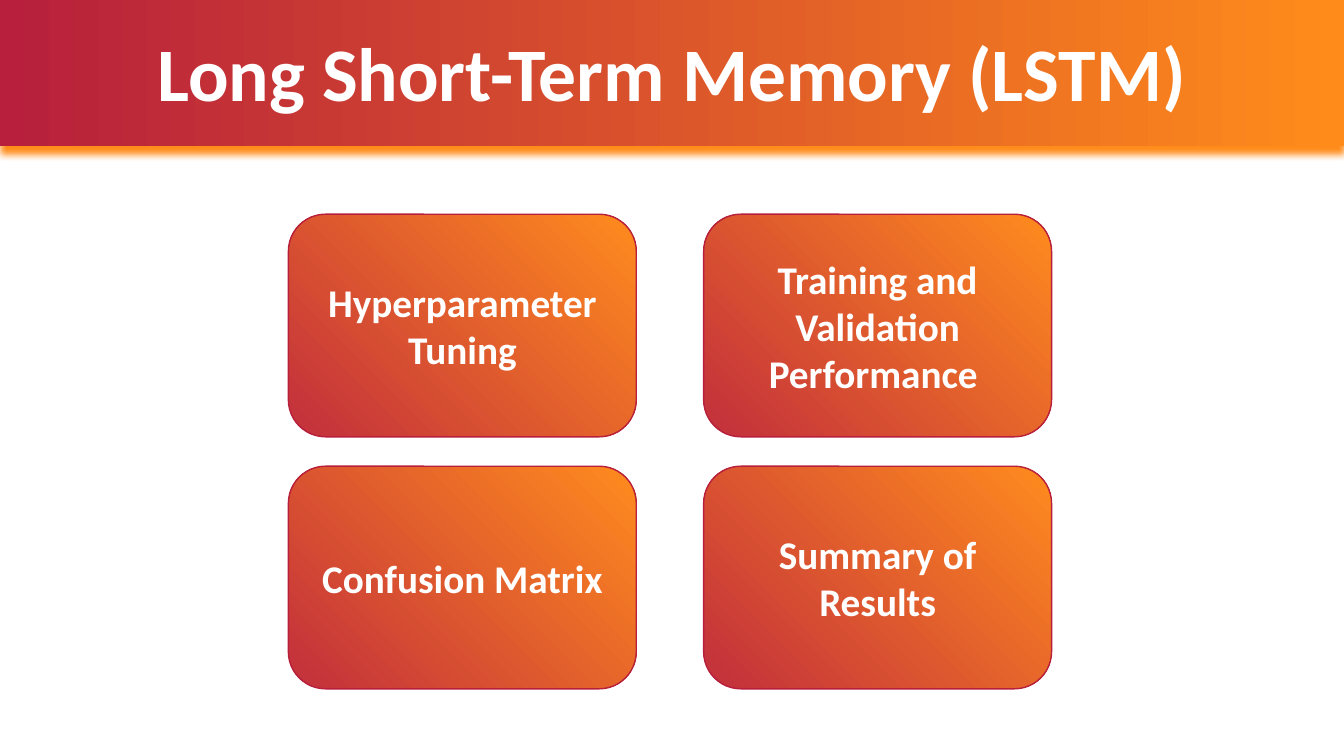
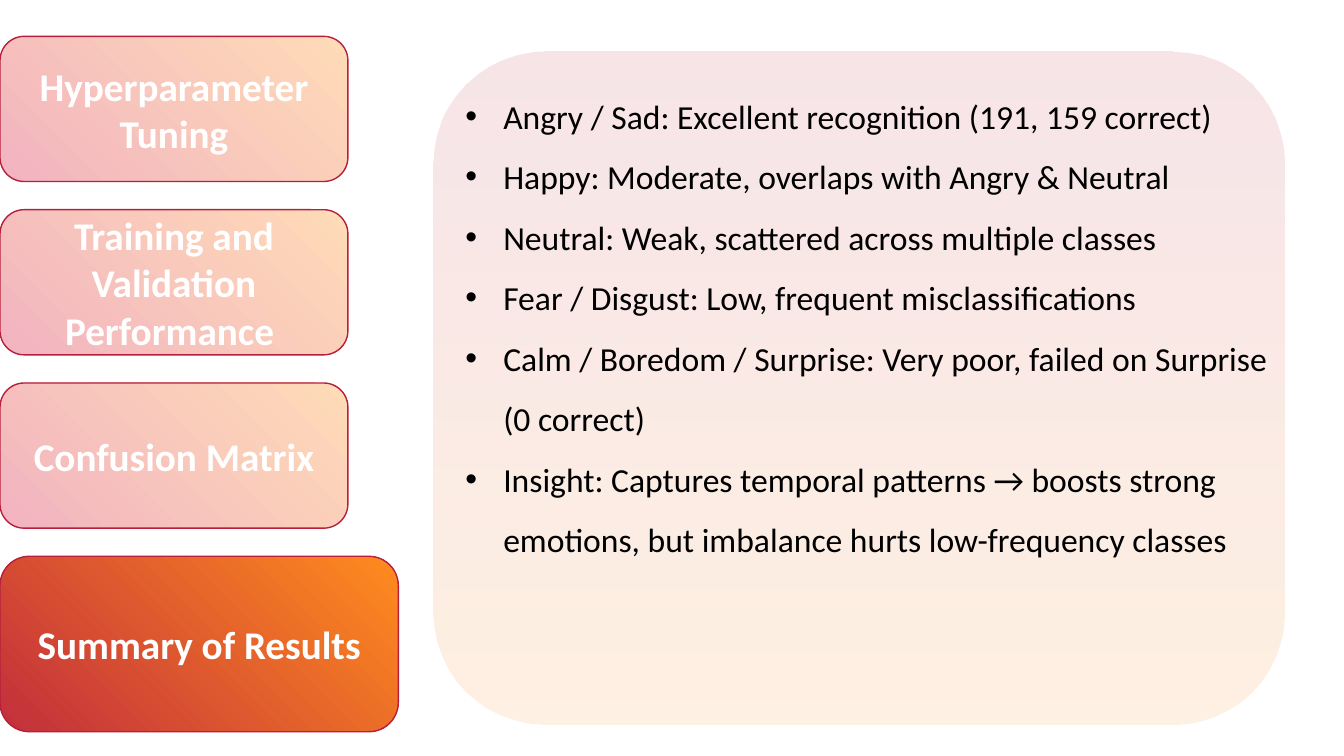
from lxml import etree
from pptx import Presentation
from pptx.dml.color import RGBColor
from pptx.enum.shapes import MSO_SHAPE
from pptx.enum.text import MSO_ANCHOR, PP_ALIGN
from pptx.oxml.ns import qn
from pptx.util import Pt

RECTANGLE, ROUNDED = MSO_SHAPE.RECTANGLE, MSO_SHAPE.ROUNDED_RECTANGLE
CENTER, LEFT = PP_ALIGN.CENTER, PP_ALIGN.LEFT
TOP, MIDDLE, BOTTOM = MSO_ANCHOR.TOP, MSO_ANCHOR.MIDDLE, MSO_ANCHOR.BOTTOM

WIDTH, HEIGHT = 960, 540
CRIMSON, ORANGE, WHITE, BLACK = "B71F3C", "FF8C1A", "FFFFFF", "000000"
BRAND = (CRIMSON, ORANGE)
ACTIVE = ("C22F3C", "FF8B1E")
FADED = ("F2B4C0", "FFDBB7")
TITLE_FORMAT = {"name": "Calibri", "size": Pt(54), "bold": True}
BUTTON_FORMAT = {"name": "Calibri", "size": Pt(28), "bold": True}
BODY_FORMAT = {"name": "Calibri", "size": Pt(24), "bold": False}

TOPICS = [
    "Hyperparameter Tuning",
    "Training and Validation Performance ",
    "Confusion Matrix",
    "Summary of Results",
]
FINDINGS = [
    "Angry / Sad: Excellent recognition (191, 159 correct)",
    "Happy: Moderate, overlaps with Angry & Neutral",
    "Neutral: Weak, scattered across multiple classes",
    "Fear / Disgust: Low, frequent misclassifications",
    "Calm / Boredom / Surprise: Very poor, failed on Surprise (0 correct)",
    "Insight: Captures temporal patterns → boosts strong emotions, "
    "but imbalance hurts low-frequency classes",
]


def color(value):
    return RGBColor.from_string(value)


class Deck:
    """Holds the presentation, its style and the current slide."""

    def __init__(self):
        self.presentation = Presentation()
        self.presentation.slide_width = Pt(WIDTH)
        self.presentation.slide_height = Pt(HEIGHT)
        self.slide = None

    def add_slide(self):
        self.slide = self.presentation.slides.add_slide(self.presentation.slide_layouts[6])

    def gradient_shape(self, kind, box, colors, angle, alphas=()):
        shape = self.slide.shapes.add_shape(kind, *map(Pt, box))
        shape.shadow.inherit = False
        shape.fill.gradient()
        shape.fill.gradient_angle = angle
        for stop, value in zip(shape.fill.gradient_stops, colors):
            stop.color.rgb = color(value)
        for element, alpha in zip(shape._element.spPr.iter(qn("a:srgbClr")), alphas):
            etree.SubElement(element, qn("a:alpha"), val=str(alpha * 1000))
        shape.line.fill.background()
        return shape

    def fill_text(self, frame, lines, style, text_color, anchor, align, spacing=1.0, indent=0):
        frame.word_wrap = True
        frame.vertical_anchor = anchor
        for index, line in enumerate(lines):
            paragraph = frame.add_paragraph() if index else frame.paragraphs[0]
            if indent:
                properties = paragraph._p.get_or_add_pPr()
                properties.set("marL", str(Pt(indent)))
                properties.set("indent", str(-Pt(indent)))
                etree.SubElement(properties, qn("a:buFont"), typeface="Arial")
                etree.SubElement(properties, qn("a:buChar"), char="•")
            paragraph.alignment = align
            paragraph.line_spacing = spacing
            run = paragraph.add_run()
            run.text = line
            for name, value in style.items():
                setattr(run.font, name, value)
            run.font.color.rgb = color(text_color)

    def title_band(self, text):
        band = self.gradient_shape(RECTANGLE, (0, 0, WIDTH, 104.4), BRAND, 0)
        effects = band._element.spPr.find(qn("a:effectLst"))
        glow = etree.SubElement(effects, qn("a:outerShdw"), blurRad=str(Pt(5)),
                                dist=str(Pt(5)), dir="5400000", algn="t", rotWithShape="0")
        etree.SubElement(glow, qn("a:srgbClr"), val=ORANGE)
        title = self.slide.shapes.add_textbox(0, 0, Pt(WIDTH), Pt(87.8))
        self.fill_text(title.text_frame, [text], TITLE_FORMAT, WHITE, BOTTOM, CENTER, 0.9)

    def button(self, text, box, colors=ACTIVE):
        shape = self.gradient_shape(ROUNDED, box, colors, 45)
        shape.line.color.rgb = color(CRIMSON)
        shape.line.width = Pt(1)
        self.fill_text(shape.text_frame, [text], BUTTON_FORMAT, WHITE, MIDDLE, CENTER)

    def panel(self, box):
        self.gradient_shape(ROUNDED, box, BRAND, 270, (12, 13))

    def bullets(self, lines, box):
        shape = self.slide.shapes.add_textbox(*map(Pt, box))
        self.fill_text(shape.text_frame, lines, BODY_FORMAT, BLACK, TOP, LEFT, 1.5, 27)


def overview_slide(deck):
    deck.add_slide()
    deck.title_band("Long Short-Term Memory (LSTM)")
    for index, topic in enumerate(TOPICS):
        row, column = divmod(index, 2)
        deck.button(topic, (206 + 296.6 * column, 153 + 180 * row, 248.5, 159))


def results_slide(deck):
    deck.add_slide()
    deck.panel((309.6, 36.7, 607.7, 481))
    for index, topic in enumerate(TOPICS):
        top = 26 + 123.8 * index
        if index == len(TOPICS) - 1:
            deck.button(topic, (0, top, 284.5, 125.3))
        else:
            deck.button(topic, (0, top, 248.5, 103.7), FADED)
    deck.bullets(FINDINGS, (325.4, 50.4, 591.8, 439))


def main():
    deck = Deck()
    overview_slide(deck)
    results_slide(deck)
    deck.presentation.save("out.pptx")


if __name__ == "__main__":
    main()
